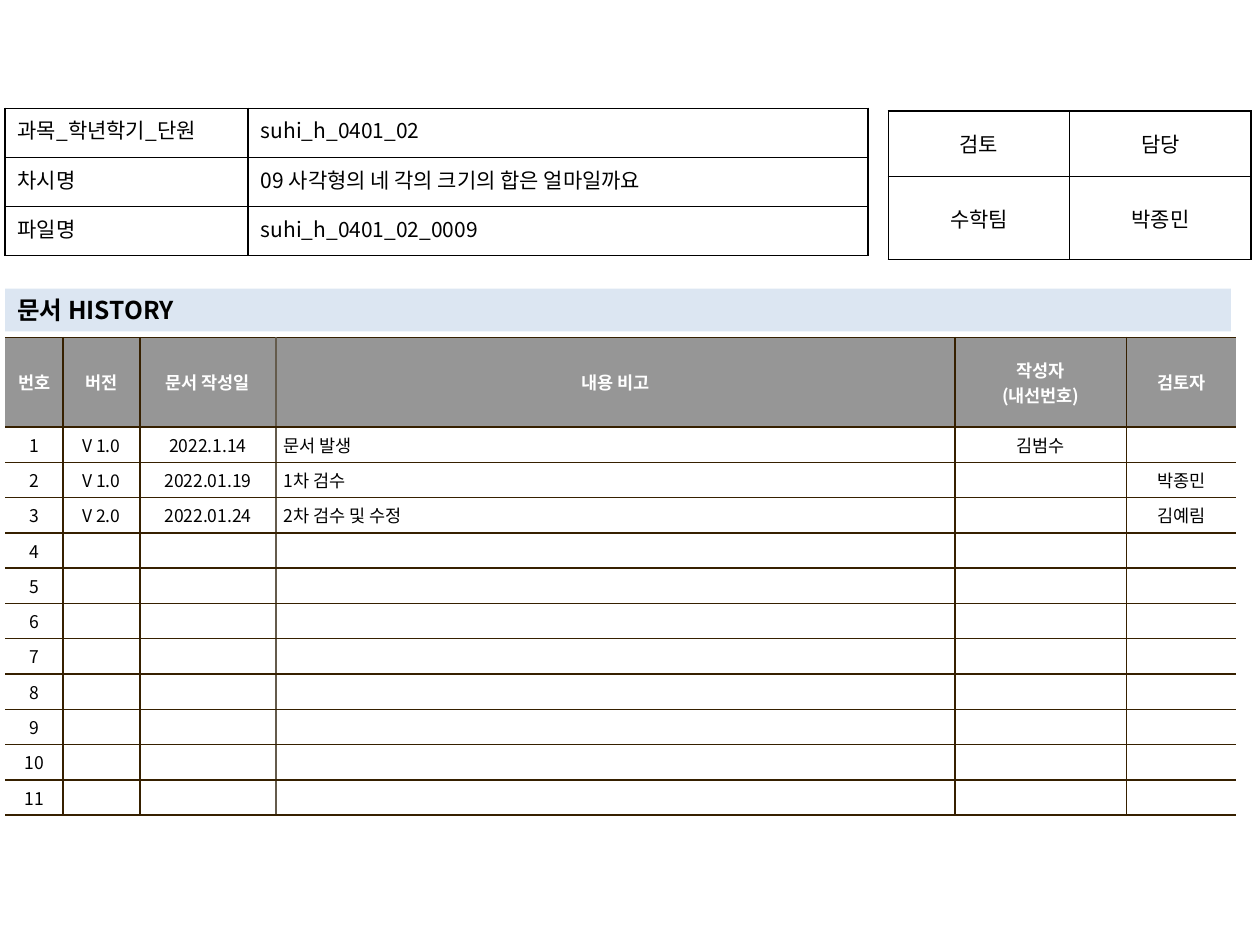
from dataclasses import dataclass

from lxml import etree
from pptx import Presentation
from pptx import util as u
from pptx.dml.color import RGBColor
from pptx.enum import shapes, text
from pptx.oxml import ns

FONT = "Noto Sans CJK KR"
BLACK = RGBColor(0x00, 0x00, 0x00)
WHITE = RGBColor(0xFF, 0xFF, 0xFF)
GRAY = RGBColor(0x96, 0x96, 0x96)
PALE_BLUE = RGBColor(0xDC, 0xE6, 0xF2)
BROWN = RGBColor(0x36, 0x20, 0x00)
TAUPE = RGBColor(0x64, 0x5B, 0x4C)
LEFT, CENTER, JUSTIFY = text.PP_ALIGN.LEFT, text.PP_ALIGN.CENTER, text.PP_ALIGN.JUSTIFY
TOP, MIDDLE = text.MSO_ANCHOR.TOP, text.MSO_ANCHOR.MIDDLE


@dataclass
class Style:
    size: float
    color: RGBColor = BLACK
    bold: bool = False
    align: text.PP_ALIGN = LEFT
    anchor: text.MSO_ANCHOR = MIDDLE
    indent: float = 0
    fill: RGBColor | None = None
    margins: tuple[float, float] = (0.1, 0.05)


@dataclass
class Grid:
    left: float
    top: float
    cols: list[float]
    rows: list[float]
    cells: list[list[str]]


def write(tf, content: str, style: Style) -> None:
    """Write one paragraph per line; empty paragraphs keep the text size."""
    tf.text = content
    for p in tf.paragraphs:
        p.alignment = style.align
        if style.indent:
            indent = u.Inches(style.indent)
            p._p.get_or_add_pPr().set("marL", str(indent))
            p._p.get_or_add_pPr().set("indent", str(-indent))
        if not p.runs:
            end = etree.SubElement(p._p, ns.qn("a:endParaRPr"))
            end.set("sz", str(int(style.size * 100)))
        for r in p.runs:
            values = {"size": u.Pt(style.size), "bold": style.bold, "name": FONT}
            for name, value in values.items():
                setattr(r.font, name, value)
            r.font.color.rgb = style.color
            ea = etree.SubElement(r._r.get_or_add_rPr(), ns.qn("a:ea"))
            ea.set("typeface", FONT)


def set_borders(cell, colors: dict[str, RGBColor | None]) -> None:
    """Place 1 pt borders ahead of the cell fill; None hides a side."""
    tc_pr = cell._tc.get_or_add_tcPr()
    for i, side in enumerate("LRTB"):
        line = etree.Element(ns.qn(f"a:ln{side}"), w=str(u.Pt(1)))
        color = colors[side]
        if color is None:
            etree.SubElement(line, ns.qn("a:noFill"))
        else:
            fill = etree.SubElement(line, ns.qn("a:solidFill"))
            etree.SubElement(fill, ns.qn("a:srgbClr"), val=str(color))
        tc_pr.insert(i, line)


def add_grid(s, grid: Grid, style_of, borders_of) -> None:
    """Draw a table; the two functions give the look of cell (row, column)."""
    table = s.shapes.add_table(
        len(grid.rows), len(grid.cols), u.Inches(grid.left), u.Inches(grid.top),
        u.Inches(sum(grid.cols)), u.Inches(sum(grid.rows))).table
    table.first_row = table.horz_banding = False
    for column, width in zip(table.columns, grid.cols):
        column.width = u.Inches(width)
    for row, height in zip(table.rows, grid.rows):
        row.height = u.Inches(height)
    for i, row in enumerate(grid.cells):
        for j, content in enumerate(row):
            cell, style = table.cell(i, j), style_of(i, j)
            cell.margin_left = cell.margin_right = u.Inches(style.margins[0])
            cell.margin_top = cell.margin_bottom = u.Inches(style.margins[1])
            cell.vertical_anchor = style.anchor
            if style.fill is None:
                cell.fill.background()
            else:
                cell.fill.solid()
                cell.fill.fore_color.rgb = style.fill
            write(cell.text_frame, content, style)
            set_borders(cell, borders_of(j))


def add_heading(s, content: str) -> None:
    sp = s.shapes.add_shape(shapes.MSO_SHAPE.RECTANGLE, u.Inches(0.04),
                            u.Inches(2.29), u.Inches(9.73), u.Inches(0.34))
    sp.shadow.inherit = False
    sp.fill.solid()
    sp.fill.fore_color.rgb = PALE_BLUE
    sp.line.fill.background()
    sp.text_frame.vertical_anchor = MIDDLE
    write(sp.text_frame, content, Style(14, bold=True))


HISTORY_COLS = [0.46, 0.61, 1.08, 5.39, 1.36, 0.87]
NOTE_COL, REVIEWER_COL = 3, 5
ENTRIES = [
    ["V 1.0", "2022.1.14", "문서 발생", "김범수", ""],
    ["V 1.0", "2022.01.19", "1차 검수", "", "박종민"],
    ["V 2.0", "2022.01.24", "2차 검수 및 수정", "", "김예림"],
]
ENTRIES += [[""] * 5 for _ in range(8)]
HISTORY = Grid(
    0.04, 2.68, HISTORY_COLS, [0.71, 0.25, 0.24, 0.14] + [0.25] * 8,
    [["번호", "버전", "문서 작성일", "내용 비고", "작성자\n(내선번호)", "검토자"]]
    + [[str(n), *entry] for n, entry in enumerate(ENTRIES, 1)])
APPROVAL = Grid(7.05, 0.88, [1.44] * 2, [0.52, 0.66],
                [["검토", "담당"], ["수학팀", "박종민"]])
LESSON = Grid(0.04, 0.86, [1.93, 4.92], [0.39] * 3, [
    ["과목_학년학기_단원", "suhi_h_0401_02"],
    ["차시명", "09 사각형의 네 각의 크기의 합은 얼마일까요"],
    ["파일명", "suhi_h_0401_02_0009"],
])


def history_style(row: int, col: int) -> Style:
    style = Style(10, align=CENTER, fill=WHITE, margins=(0.06, 0.04))
    if row == 0:
        style.color, style.bold, style.fill = WHITE, True, GRAY
    elif col == NOTE_COL:
        style.align, style.indent = LEFT, 0.19
    elif col == REVIEWER_COL:
        style.indent = 0.09
    return style


def history_borders(col: int) -> dict[str, RGBColor | None]:
    """Open outer sides, with a lighter rule before the notes column."""
    edges = [None, BROWN, BROWN, TAUPE, BROWN, BROWN, None]
    return {"L": edges[col], "R": edges[col + 1], "T": BROWN, "B": BROWN}


def black_borders(col: int) -> dict[str, RGBColor | None]:
    return dict.fromkeys("LRTB", BLACK)


def approval_style(row: int, col: int) -> Style:
    return Style(12, align=CENTER)


def lesson_style(row: int, col: int) -> Style:
    return Style(12, align=LEFT if col else JUSTIFY, anchor=TOP)


def main() -> None:
    prs = Presentation()
    prs.slide_width, prs.slide_height = u.Inches(10), u.Inches(7.5)
    s = prs.slides.add_slide(prs.slide_layouts[6])
    add_grid(s, HISTORY, history_style, history_borders)
    add_grid(s, APPROVAL, approval_style, black_borders)
    add_heading(s, "문서 HISTORY")
    add_grid(s, LESSON, lesson_style, black_borders)
    prs.save("out.pptx")


if __name__ == "__main__":
    main()
